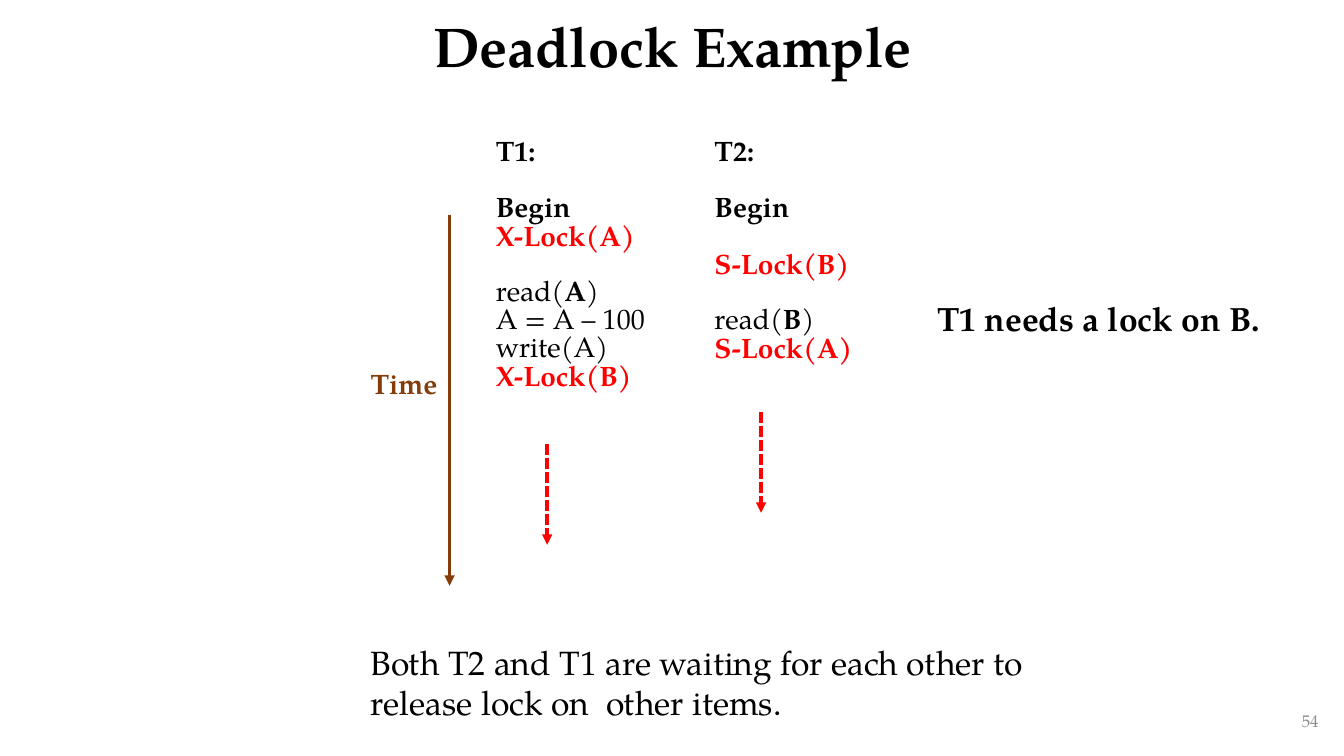
from lxml import etree
from pptx import Presentation
from pptx.dml.color import RGBColor
from pptx.enum.dml import MSO_LINE
from pptx.enum.shapes import MSO_CONNECTOR
from pptx.enum.text import MSO_ANCHOR, PP_ALIGN
from pptx.oxml.ns import qn
from pptx.util import Cm, Pt

BLACK = RGBColor(0x00, 0x00, 0x00)
RED = RGBColor(0xFF, 0x00, 0x00)
BROWN = RGBColor(0x84, 0x3C, 0x0B)
GRAY = RGBColor(0x8C, 0x8C, 0x8C)
FACE = "TeX Gyre Pagella"
MID = MSO_ANCHOR.MIDDLE
TOP = MSO_ANCHOR.TOP
LEFT = PP_ALIGN.LEFT
MIDDLE = PP_ALIGN.CENTER
RIGHT = PP_ALIGN.RIGHT
LINE = MSO_CONNECTOR.STRAIGHT
DASH = MSO_LINE.SQUARE_DOT
STEP = Pt(20)

PLANS = [
    [(0, "*T1:*"), (1, "*Begin*"), (0, "*X-Lock(A)*"), (1, "read(*A*)"),
     (0, "A = A – 100"), (0, "write(A)"), (0, "*X-Lock(B)*")],
    [(0, "*T2:*"), (1, "*Begin*"), (1, "*S-Lock(B)*"), (1, "read(*B*)"),
     (0, "*S-Lock(A)*")],
]


def style(para, size, color=BLACK, bold=False):
    font = para.font
    font.name = FACE
    font.size = Pt(size)
    font.color.rgb = color
    font.bold = bold


def label(slide, box, text, size, color=BLACK, bold=False, align=LEFT, anchor=TOP):
    frame = slide.shapes.add_textbox(*map(Cm, box)).text_frame
    frame.word_wrap = True
    frame.vertical_anchor = anchor
    para = frame.paragraphs[0]
    para.text = text
    para.alignment = align
    style(para, size, color, bold)


def arrow(slide, x, y, length, color, dash=None):
    link = slide.shapes.add_connector(LINE, Cm(x), Cm(y), Cm(x), Cm(y + length))
    link.line.color.rgb = color
    link.line.width = Pt(2.5)
    if dash:
        link.line.dash_style = dash
    props = link.line._get_or_add_ln()
    etree.SubElement(props, qn("a:tailEnd"), type="triangle")
    etree.SubElement(props.getparent(), qn("a:effectLst"))


def heading(slide, box):
    title = slide.shapes.title
    title.left, title.top, title.width, title.height = map(Cm, box)
    frame = title.text_frame
    frame.vertical_anchor = MID
    para = frame.paragraphs[0]
    para.text = "Deadlock Example"
    para.alignment = MIDDLE
    para.line_spacing = 0.9
    style(para, 40, bold=True)


def fill_plan(cell, plan):
    cell.fill.background()
    frame = cell.text_frame
    for i, (gap, text) in enumerate(plan):
        para = frame.add_paragraph() if i else frame.paragraphs[0]
        para.line_spacing = STEP
        para.space_before = gap * STEP
        parts = text.split("*")
        style(para, 20, RED if "Lock" in text else BLACK, len(parts) > 1 and not parts[0])
        for j, part in enumerate(parts):
            if part:
                run = para.add_run()
                run.text = part
                if parts[0] and j % 2:
                    run.font.bold = True


def schedule(slide, box):
    x, y, width, height = box
    table = slide.shapes.add_table(1, len(PLANS), *map(Cm, box)).table
    table.first_row = False
    table.horz_banding = False
    first = 5.51
    for col, span in zip(table.columns, (first, width - first)):
        col.width = Cm(span)
    for cell, plan in zip(table.rows[0].cells, PLANS):
        fill_plan(cell, plan)
    for dx, dy in ((1.55, 7.77), (6.94, 6.96)):
        arrow(slide, x + dx, y + dy, 2.53, RED, DASH)


def timeline(slide, box):
    x, y, width, height = box
    label(slide, (x, y + 3.71, width, 0.81), "Time", 20, BROWN, True)
    arrow(slide, x + width - 0.02, y, height, BROWN)


def notes(slide, box):
    x, y, width, height = box
    label(slide, (x + 14.28, y, 9.2, 1.27), "T1 needs a lock on B.", 24, bold=True)
    label(slide, (x, y + height - 2.31, 18.59, 2.31),
          "Both T2 and T1 are waiting for each other to release lock on  other items.", 24)


def main():
    deck = Presentation()
    deck.slide_width, deck.slide_height = Cm(33.87), Cm(19.05)
    slide = deck.slides.add_slide(deck.slide_layouts[5])
    heading(slide, (2.34, 0, 29.21, 2.51))
    label(slide, (25.86, 17.65, 7.62, 1.02), "54", 12, GRAY, align=RIGHT, anchor=MID)
    schedule(slide, (12.24, 3.43, 10.72, 11.76))
    timeline(slide, (9.09, 5.41, 2.26, 9.35))
    notes(slide, (9.09, 7.39, 23.48, 10.97))
    deck.save("out.pptx")


if __name__ == "__main__":
    main()
